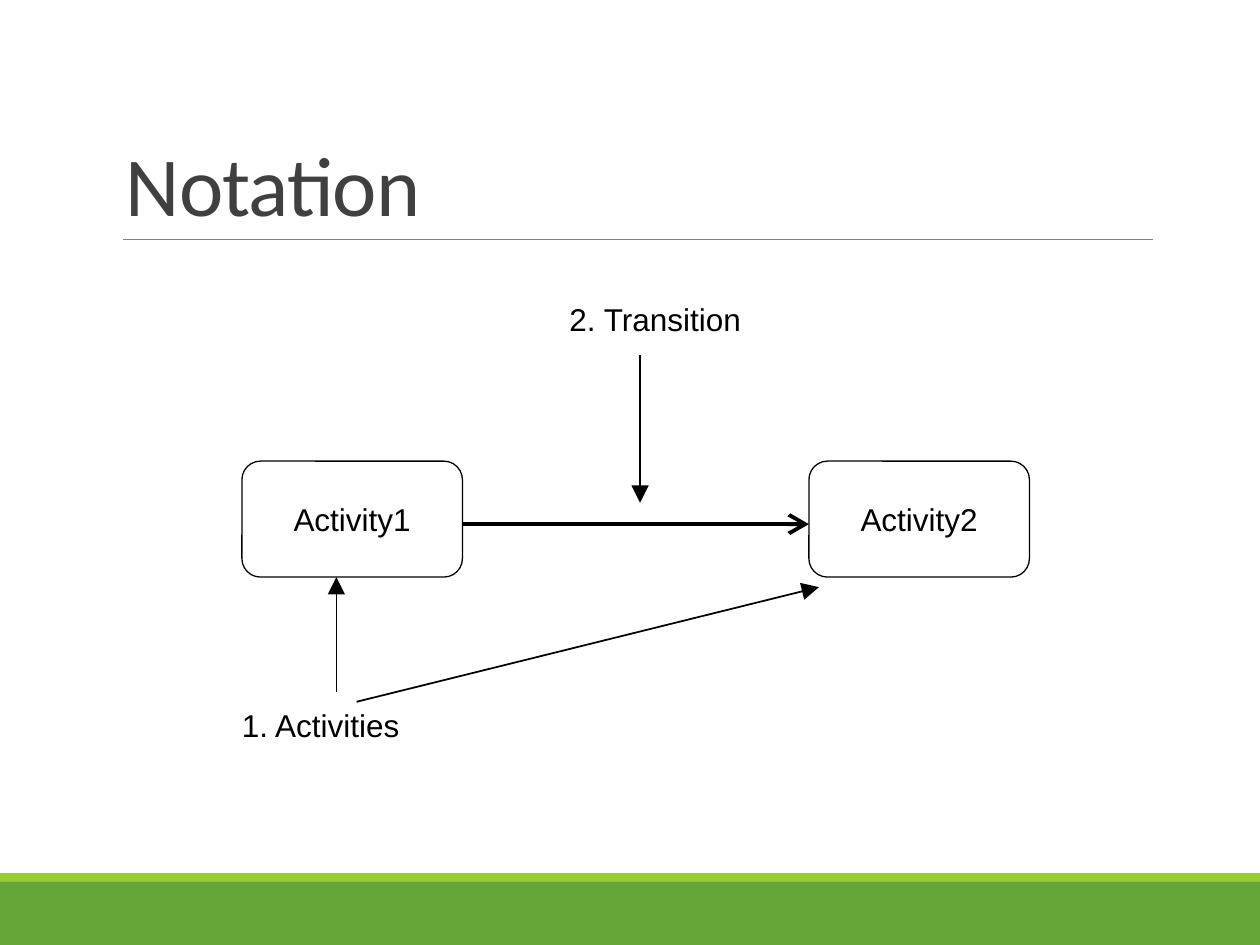
import pptx
import pptx.util
from dataclasses import dataclass
from lxml import etree
from pptx.dml.color import RGBColor
from pptx.enum.shapes import MSO_CONNECTOR, MSO_SHAPE
from pptx.enum.text import MSO_ANCHOR, PP_ALIGN
from pptx.oxml.ns import qn
from pptx.util import Inches


@dataclass(frozen=True)
class Theme:
    ink: str = "000000"
    paper: str = "FFFFFF"
    title: str = "404040"
    rule: str = "808080"
    band: str = "63A537"
    strip: str = "99CB38"
    title_font: str = "Calibri"
    body_font: str = "Arial"
    title_size: float = 48
    body_size: float = 18


THEME = Theme()


def colour(value):
    return RGBColor.from_string(value)


def add_box(page, kind, left, top, width, height, fill):
    box = page.shapes.add_shape(
        kind, Inches(left), Inches(top), Inches(width), Inches(height))
    box.shadow.inherit = False
    box.fill.solid()
    box.fill.fore_color.rgb = colour(fill)
    box.line.fill.background()
    return box


def add_line(page, start, end, width, ink=THEME.ink, head=None):
    """Draw a straight line; head names the arrowhead at its end."""
    line = page.shapes.add_connector(
        MSO_CONNECTOR.STRAIGHT, *(Inches(value) for value in (*start, *end)))
    line.line.color.rgb = colour(ink)
    line.line.width = pptx.util.Pt(width)
    properties = line._element.spPr
    if head:
        etree.SubElement(properties.find(qn("a:ln")), qn("a:tailEnd"),
                         type=head, w="lg", len="lg")
    etree.SubElement(properties, qn("a:effectLst"))


def write(box, text, font, size, ink, insets, anchor, align=PP_ALIGN.LEFT):
    """Fill a box with one paragraph; insets are left, top, right, bottom."""
    frame = box.text_frame
    frame.word_wrap = True
    frame.vertical_anchor = anchor
    (frame.margin_left, frame.margin_top,
     frame.margin_right, frame.margin_bottom) = map(Inches, insets)
    para = frame.paragraphs[0]
    para.text = text
    para.alignment = align
    para.font.name = font
    para.font.size = pptx.util.Pt(size)
    para.font.color.rgb = colour(ink)
    return para


def add_footer(page, left, top, width, height):
    strip = 0.07
    add_box(page, MSO_SHAPE.RECTANGLE, left, top, width, strip, THEME.strip)
    add_box(page, MSO_SHAPE.RECTANGLE, left, top + strip, width,
            height - strip, THEME.band)


def add_title(page, text, left, top, width, height):
    bottom = top + height
    add_line(page, (left + 0.08, bottom), (left + width, bottom), 0.5, THEME.rule)
    box = page.shapes.add_textbox(
        Inches(left), Inches(top), Inches(width), Inches(height))
    para = write(box, text, THEME.title_font, THEME.title_size, THEME.title,
                 (0.1, 0.05, 0.1, 0.05), MSO_ANCHOR.BOTTOM)
    para.line_spacing = 0.85
    para.runs[0].font._element.set("spc", "-50")


def add_label(page, text, left, top):
    box = page.shapes.add_textbox(
        Inches(left), Inches(top), Inches(1.5), Inches(0.33))
    write(box, text, THEME.body_font, THEME.body_size, THEME.ink,
          (0.02, 0.03, 0, 0), MSO_ANCHOR.TOP)


def add_activity(page, text, left, top, width, height):
    box = add_box(page, MSO_SHAPE.ROUNDED_RECTANGLE, left, top, width, height,
                  THEME.paper)
    box.adjustments[0] = 0.16
    box.line.color.rgb = colour(THEME.ink)
    box.line.width = pptx.util.Pt(0.75)
    write(box, text, THEME.body_font, THEME.body_size, THEME.ink,
          (0, 0, 0, 0), MSO_ANCHOR.MIDDLE, PP_ALIGN.CENTER)


def add_diagram(page, left, top, width, height):
    """Place two activities, the transition between them, and their labels."""
    box_width, box_height = 1.75, 0.92
    box_top = top + 1.31
    box_bottom = box_top + box_height
    second_left = left + width - box_width
    bottom = top + height

    add_activity(page, "Activity1", left, box_top, box_width, box_height)
    add_activity(page, "Activity2", second_left, box_top, box_width, box_height)
    transition = box_top + 0.5
    add_line(page, (left + box_width, transition), (second_left, transition),
             2.25, head="arrow")

    add_label(page, "1. Activities", left - 0.02, bottom - 0.33)
    add_label(page, "2. Transition", left + 2.58, top)
    pointers = [
        ((left + 0.75, bottom - 0.41), (left + 0.75, box_bottom)),
        ((left + 0.91, bottom - 0.33), (second_left + 0.08, box_bottom + 0.08)),
        ((left + 3.16, top + 0.47), (left + 3.16, transition - 0.17)),
    ]
    for start, end in pointers:
        add_line(page, start, end, 1, head="triangle")


def main():
    deck = pptx.Presentation()
    deck.slide_width, deck.slide_height = Inches(10), Inches(7.5)
    page = deck.slides.add_slide(deck.slide_layouts[6])
    page.background.fill.solid()
    page.background.fill.fore_color.rgb = colour(THEME.paper)
    add_footer(page, 0, 6.93, 10, 0.57)
    add_title(page, "Notation", 0.9, 0.31, 8.25, 1.59)
    add_diagram(page, 1.92, 2.35, 6.25, 3.55)
    deck.save("out.pptx")


if __name__ == "__main__":
    main()
